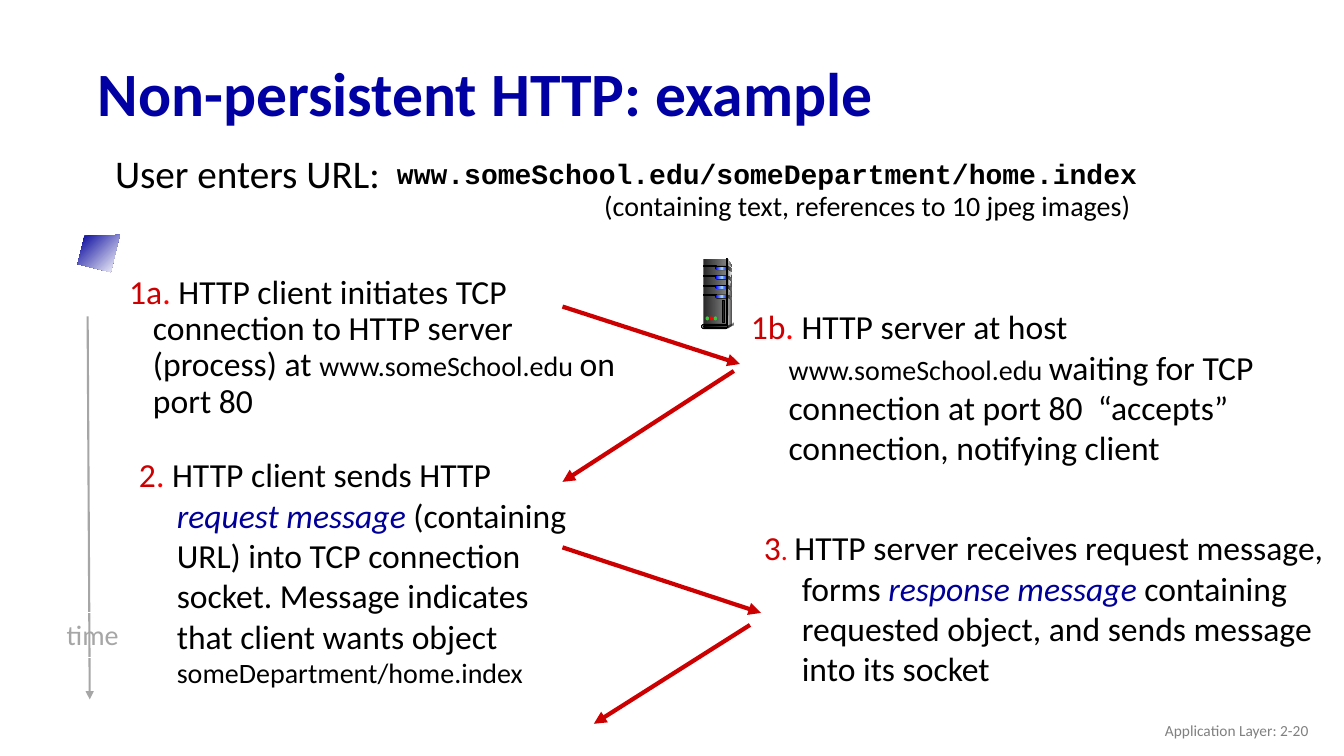
from lxml import etree
from pptx import Presentation
from pptx import util as u
from pptx.dml.color import RGBColor
from pptx.enum import shapes, text
from pptx.oxml.ns import qn

Pt = u.Pt
COLORS = {
    "title": "0000A3", "black": "000000", "white": "FFFFFF", "step": "CC0000",
    "dot": "FF0000", "term": "000099", "time": "A6A6A6", "footer": "808080",
    "dark": "292929", "steel": "333333", "grey": "808080", "pale": "DDDDDD",
    "shine": "F8F8F8", "lamp": "0000FF", "glow": "99CCFF", "green": "33CC33",
}
RECT = shapes.MSO_SHAPE.RECTANGLE
OVAL = shapes.MSO_SHAPE.OVAL
PILL = shapes.MSO_SHAPE.ROUNDED_RECTANGLE
LEFT, CENTER, RIGHT = text.PP_ALIGN.LEFT, text.PP_ALIGN.CENTER, text.PP_ALIGN.RIGHT


def rgb(name):
    return RGBColor.from_string(COLORS[name])


def write(frame, runs, align=LEFT, spacing=1.0, margin=0, indent=0):
    """Each run is (text, size, color[, style]); style is 'b', 'i' or 'mono'."""
    paragraph = frame.paragraphs[0]
    paragraph.alignment = align
    paragraph.line_spacing = spacing
    properties = paragraph._p.get_or_add_pPr()
    properties.set("marL", str(Pt(margin)))
    properties.set("indent", str(Pt(indent)))
    for words, size, color, *style in runs:
        run = paragraph.add_run()
        run.text = words
        run.font.name = "Courier New" if "mono" in style else "Calibri"
        run.font.size = Pt(size)
        run.font.color.rgb = rgb(color)
        run.font.bold = "b" in style
        run.font.italic = "i" in style


def label(slide, box, runs, anchor=text.MSO_ANCHOR.TOP, **layout):
    frame = slide.shapes.add_textbox(*map(Pt, box)).text_frame
    frame.word_wrap = True
    frame.vertical_anchor = anchor
    write(frame, runs, **layout)


def arrow(slide, start, end, color, width):
    line = slide.shapes.add_connector(
        shapes.MSO_CONNECTOR.STRAIGHT, *map(Pt, start + end))
    line.line.color.rgb = rgb(color)
    line.line.width = Pt(width)
    etree.SubElement(line.line._get_or_add_ln(), qn("a:tailEnd"), type="triangle")
    etree.SubElement(line._element.spPr, qn("a:effectLst"))


def paint(shape, colors, angle=0, outline=None):
    """One color gives a solid fill, several an even gradient."""
    shape.shadow.inherit = False
    if len(colors) == 1:
        shape.fill.solid()
        shape.fill.fore_color.rgb = rgb(colors[0])
    elif colors:
        shape.fill.gradient()
        shape.fill.gradient_angle = (360 - angle) % 360
        stops = shape._element.spPr.find(qn("a:gradFill")).find(qn("a:gsLst"))
        for stop in list(stops):
            stops.remove(stop)
        for i, color in enumerate(colors):
            position = str(100000 * i // (len(colors) - 1))
            stop = etree.SubElement(stops, qn("a:gs"), pos=position)
            etree.SubElement(stop, qn("a:srgbClr"), val=COLORS[color])
    else:
        shape.fill.background()
    if outline:
        shape.line.color.rgb = rgb(outline)
        shape.line.width = Pt(0.75)
    else:
        shape.line.fill.background()


def outline_shape(parent, origin, points, colors, angle=0):
    spots = [(Pt(origin[0] + x), Pt(origin[1] + y)) for x, y in points]
    builder = parent.shapes.build_freeform(*spots[0], scale=1.0)
    builder.add_line_segments(spots[1:], close=True)
    paint(builder.convert_to_shape(), colors, angle)


def heading(slide, box):
    left, top, width, height = box
    title = slide.shapes.title
    title.left, title.top, title.width, title.height = map(Pt, box)
    frame = title.text_frame
    frame.auto_size = text.MSO_AUTO_SIZE.NONE
    frame.vertical_anchor = text.MSO_ANCHOR.MIDDLE
    write(frame, [("Non-persistent HTTP: example", 44, "title", "b")], spacing=0.9)

    # Requested address
    label(slide, (left + 1.5, top + 72.8, 626, 37),
          [("User enters URL:", 28, "black")], spacing=0.9, margin=28, indent=-17)
    label(slide, (left + 306, top + 97.2, 502, 32),
          [("(containing text, references to 10 jpeg images)", 20, "black")],
          align=CENTER)
    label(slide, (left + 213.9, top + 77.8, 626, 37),
          [("www.someSchool.edu/someDepartment/home.index", 20, "black", "b", "mono")],
          spacing=0.85, margin=27, indent=-27)


def step(slide, box, number, parts, dot=(".", 24), **layout):
    runs = [(number, 24, "step"), (*dot, "dot")]
    label(slide, box, runs + parts, **{"margin": 27, "indent": -27, **layout})


def exchange(slide, box):
    left, top, width, height = box

    # Client steps
    step(slide, (left, top, 382, 150), "1a", [
        (" HTTP client initiates TCP connection to HTTP server (process) at ", 24, "black"),
        ("www.someSchool.edu ", 20, "black"),
        ("on port 80", 24, "black")], spacing=0.9, margin=28, indent=-17)
    step(slide, (left + 18, top + 128, 332, 85), "2", [
        (" HTTP client sends HTTP ", 24, "black"),
        ("request message", 24, "term", "i"),
        (" (containing URL) into TCP connection socket. Message indicates "
         "that client wants object ", 24, "black"),
        ("someDepartment/home.index", 20, "black")])

    # Server steps
    step(slide, (left + 455, top + 22.3, 422, 119), "1b", [
        (" HTTP server at host ", 24, "black"),
        ("www.someSchool.edu ", 20, "black"),
        ("waiting for TCP connection at port 80  “accepts” connection, "
         "notifying client", 24, "black")])
    step(slide, (left + 464.4, top + 180, 425, 142), "3", [
        ("HTTP server receives request message, forms ", 24, "black"),
        ("response message", 24, "term", "i"),
        (" containing requested object, and sends message into its socket", 24, "black")],
        dot=(". ", 20))

    # Messages between the two sides
    for x1, y1, x2, y2 in [(327.6, 26, 454.3, 67), (450, 72, 327.6, 151.2),
                           (327.6, 198, 469.4, 244.8), (461.5, 253.4, 350, 324)]:
        arrow(slide, (left + x1, top + y1), (left + x2, top + y2), "step", 3)


def timeline(slide, box):
    left, top, width, height = box
    arrow(slide, (left + 23, top), (left + 24.5, top + height), "time", 1.5)
    time = slide.shapes.add_shape(
        RECT, *map(Pt, (left, top + 211.7, width, 31.7)))
    paint(time, [], outline="white")
    time.text_frame.word_wrap = False
    time.text_frame.vertical_anchor = text.MSO_ANCHOR.TOP
    write(time.text_frame, [("time", 20, "time")], align=CENTER)


def client_screen(slide, box):
    left, top, width, height = box
    corners = [(width, 0), (5, 0.7), (0, 20.9), (23.8, height)]
    outline_shape(slide, (left, top), corners, ["term", "white"], 45)


def server_tower(slide, box):
    left, top, width, height = box
    tower = slide.shapes.add_group_shape()

    def part(kind, x, y, w, h, *colors, outline=None):
        shape = tower.shapes.add_shape(kind, *map(Pt, (left + x, top + y, w, h)))
        if kind == PILL:
            shape.adjustments[0] = 0.5
        paint(shape, colors, outline=outline)

    def panel(points, *colors):
        outline_shape(tower, (left, top), points, colors)

    # Case
    panel([(18.7, 0), (22.3, 5.8), (22.3, 46.1), (18, 48.2)], "pale", "steel")
    part(RECT, 1.4, 0, 16.6, 48.2, "dark", "grey")
    panel([(18.7, 2.9), (21.6, 6.5), (19.5, 25), (18.7, 46.8)], "grey", "shine")

    # Drive bays
    for bay in range(4):
        y = 5 + 6.8 * bay
        part(RECT, 1.4, y, 9.4, 0.7, "black", outline="black")
        part(PILL, 9.7, y, 9.4, 2.9, "black")
        part(PILL, 10.1, y + 0.4, 8.6, 2.2, "lamp", "glow", "lamp")
        panel([(18.7, y), (22.3, y + 2.4), (22.3, y + 4.5), (18.5, y + 1.8)],
              "dark", "grey")
    part(RECT, 18, 0, 0.7, 48.2, "steel", "pale", "steel", outline="black")

    # Foot
    part(OVAL, 22.3, 45.4, 0.7, 2.2, "steel")
    panel([(18.7, 47.5), (18.7, 49.7), (22.3, 47.5), (22.3, 46.1)], "steel")
    part(PILL, 0, 46.8, 18.7, 2.9, "pale", outline="black")
    part(PILL, 1.4, 47.5, 17.3, 1.4, "black", "grey", outline="black")

    # Status lights and vent
    for i, color in enumerate(["green", "dot", "green"]):
        part(OVAL, 2.9 + 2.9 * i, 41, 2.4, 2.9, color)
    part(RECT, 15.1, 29.5, 1.4, 15.8, "dark", outline="black")


def footer(slide, box):
    label(slide, box, [("Application Layer: 2-20", 11, "footer")],
          anchor=text.MSO_ANCHOR.MIDDLE, align=RIGHT)


deck = Presentation()
deck.slide_width, deck.slide_height = Pt(960), Pt(540)
slide = deck.slides.add_slide(deck.slide_layouts[5])
heading(slide, (62.6, 33.8, 828, 70.6))
exchange(slide, (74.2, 193, 882, 324))
timeline(slide, (39.6, 226, 53.3, 273.6))
client_screen(slide, (55.4, 167.8, 30.2, 26.6))
server_tower(slide, (501.1, 185, 23, 49.7))
footer(slide, (725.8, 507.6, 216, 28.8))
deck.save("out.pptx")
